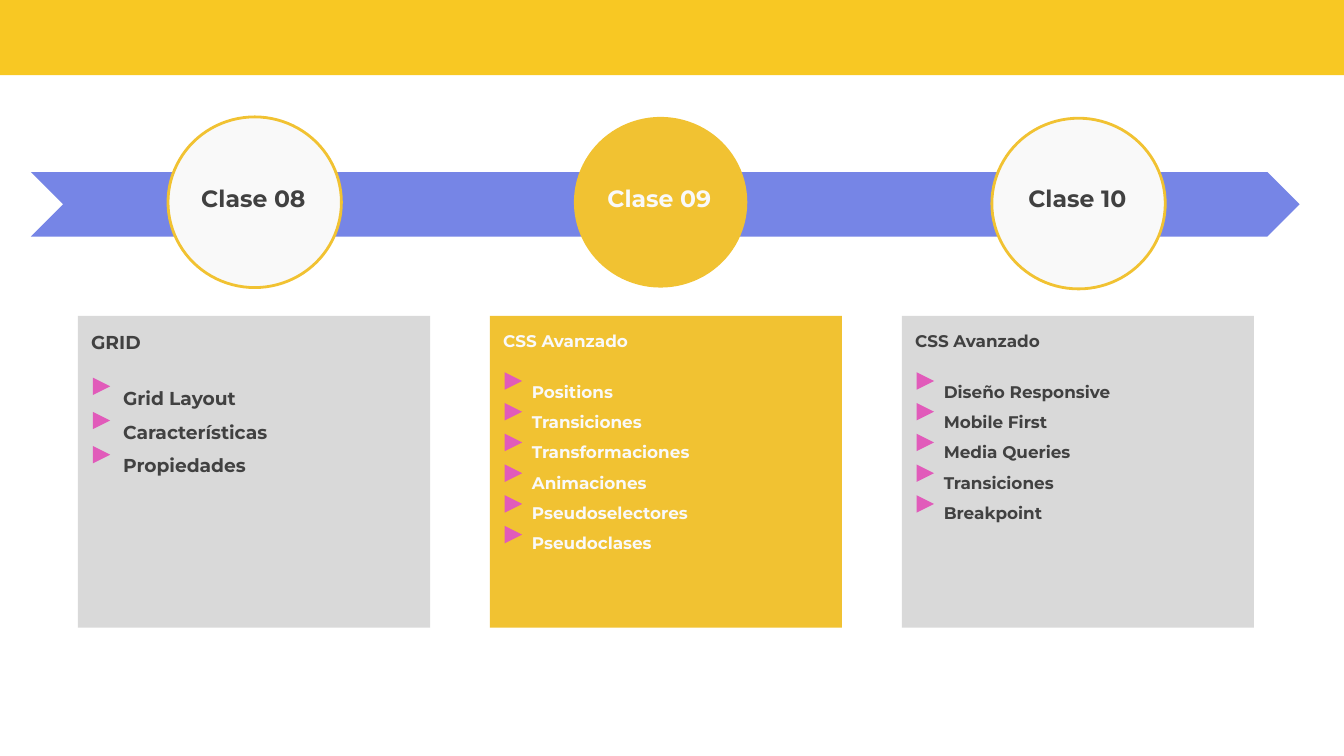
from dataclasses import dataclass

from pptx import Presentation
from pptx.dml.color import RGBColor
from pptx.enum.shapes import MSO_SHAPE
from pptx.enum.text import MSO_ANCHOR, MSO_AUTO_SIZE, PP_ALIGN
from pptx.util import Inches, Pt


@dataclass(frozen=True)
class Theme:
    font: str = "Montserrat"
    banner: str = "F8C823"
    arrow: str = "7685E6"
    active: str = "F1C232"
    panel: str = "D9D9D9"
    light: str = "F9F9F9"
    dark: str = "414141"
    marker: str = "E15BBA"
    label_size: float = 12.6
    ring_width: float = 1.5


THEME = Theme()
LINE_HEIGHT = 1.22  # height of one Montserrat line, in ems
FIRST_PANEL, LAST_PANEL = 0.58, 6.71

# (class, circle left, circle top, topic, topic size, items, is current)
CLASSES = [
    ("Clase 08", 1.25, 0.87, "GRID", 10,
     ["Grid Layout", "Características", "Propiedades"], False),
    ("Clase 09", 4.27, 0.87, "CSS Avanzado", 9,
     ["Positions", "Transiciones", "Transformaciones", "Animaciones",
      "Pseudoselectores", "Pseudoclases"], True),
    ("Clase 10", 7.38, 0.88, "CSS Avanzado", 9,
     ["Diseño Responsive", "Mobile First", "Media Queries", "Transiciones",
      "Breakpoint"], False),
]


def add_block(slide, preset, box, fill, line=None):
    block = slide.shapes.add_shape(preset, *map(Inches, box))
    block.shadow.inherit = False
    block.fill.solid()
    block.fill.fore_color.rgb = RGBColor.from_string(fill)
    if line:
        block.line.color.rgb = RGBColor.from_string(line)
        block.line.width = Pt(THEME.ring_width)
    else:
        block.line.fill.background()
    return block


def prepare_frame(holder):
    frame = holder.text_frame
    frame.auto_size = MSO_AUTO_SIZE.NONE
    frame.word_wrap = True
    frame.vertical_anchor = MSO_ANCHOR.TOP
    frame.margin_left = frame.margin_right = Inches(0.1)
    frame.margin_top = frame.margin_bottom = Inches(0.1)
    return frame


def write(paragraph, text, *, size, color, align=PP_ALIGN.LEFT,
          spacing=1.0, before=0, indent=0):
    paragraph.text = text
    paragraph.alignment = align
    paragraph.line_spacing = spacing
    paragraph.space_before = Pt(before)
    if indent:
        properties = paragraph._p.get_or_add_pPr()
        properties.set("marL", str(Inches(indent)))
        properties.set("indent", "0")
    font = paragraph.font
    font.name, font.size, font.bold = THEME.font, Pt(size), True
    font.color.rgb = RGBColor.from_string(color)


def add_class_circle(slide, box, name, current):
    left, top, width, height = box
    add_block(slide, MSO_SHAPE.OVAL, box,
              THEME.active if current else THEME.light,
              None if current else THEME.active)
    label_box = [Inches(v) for v in (left + 0.04, 1.27, width - 0.1, 0.33)]
    if current:
        # The current class is the slide title, brought in front of its circle
        label = slide.shapes.title
        label.left, label.top, label.width, label.height = label_box
        slide.shapes.element.append(label.element)
    else:
        label = slide.shapes.add_textbox(*label_box)
    write(prepare_frame(label).paragraphs[0], name, size=THEME.label_size,
          color=THEME.light if current else THEME.dark,
          align=PP_ALIGN.CENTER)


def add_topic_panel(slide, box, topic, size, items, current):
    left, top, width, height = box
    color = THEME.light if current else THEME.dark
    add_block(slide, MSO_SHAPE.RECTANGLE, box,
              THEME.active if current else THEME.panel)

    # Topic and its items
    content = slide.shapes.add_textbox(
        *map(Inches, (left, top + 0.01, width, height)))
    frame = prepare_frame(content)
    write(frame.paragraphs[0], topic, size=size, color=color)
    for index, item in enumerate(items):
        write(frame.add_paragraph(), item, size=size, color=color,
              spacing=1.5, before=0 if index else size * LINE_HEIGHT,
              indent=size / 42)

    # Triangle markers follow the line pitch of the items
    first = top + 0.06 + 0.04 * size
    pitch = size * LINE_HEIGHT * 1.5 / 72
    for index in range(len(items)):
        marker = add_block(slide, MSO_SHAPE.ISOSCELES_TRIANGLE,
                           (left + 0.11, first + index * pitch, 0.13, 0.13),
                           THEME.marker)
        marker.rotation = 90


def add_timeline(slide, box):
    # Banner and arrow
    add_block(slide, MSO_SHAPE.RECTANGLE, (-0.01, -0.05, 10.03, 0.61),
              THEME.banner)
    add_block(slide, MSO_SHAPE.CHEVRON, box, THEME.arrow)


def main():
    deck = Presentation()
    deck.slide_width = Inches(10)
    deck.slide_height = deck.slide_width * 9 // 16
    slide = deck.slides.add_slide(deck.slide_layouts[5])

    add_timeline(slide, (0.23, 1.28, 9.44, 0.48))
    step = (LAST_PANEL - FIRST_PANEL) / (len(CLASSES) - 1)
    for column, (name, left, top, topic, size, items, current) in enumerate(CLASSES):
        add_class_circle(slide, (left, top, 1.29, 1.27), name, current)
        add_topic_panel(slide, (FIRST_PANEL + column * step, 2.35, 2.62, 2.32),
                        topic, size, items, current)
    deck.save("out.pptx")


if __name__ == "__main__":
    main()
